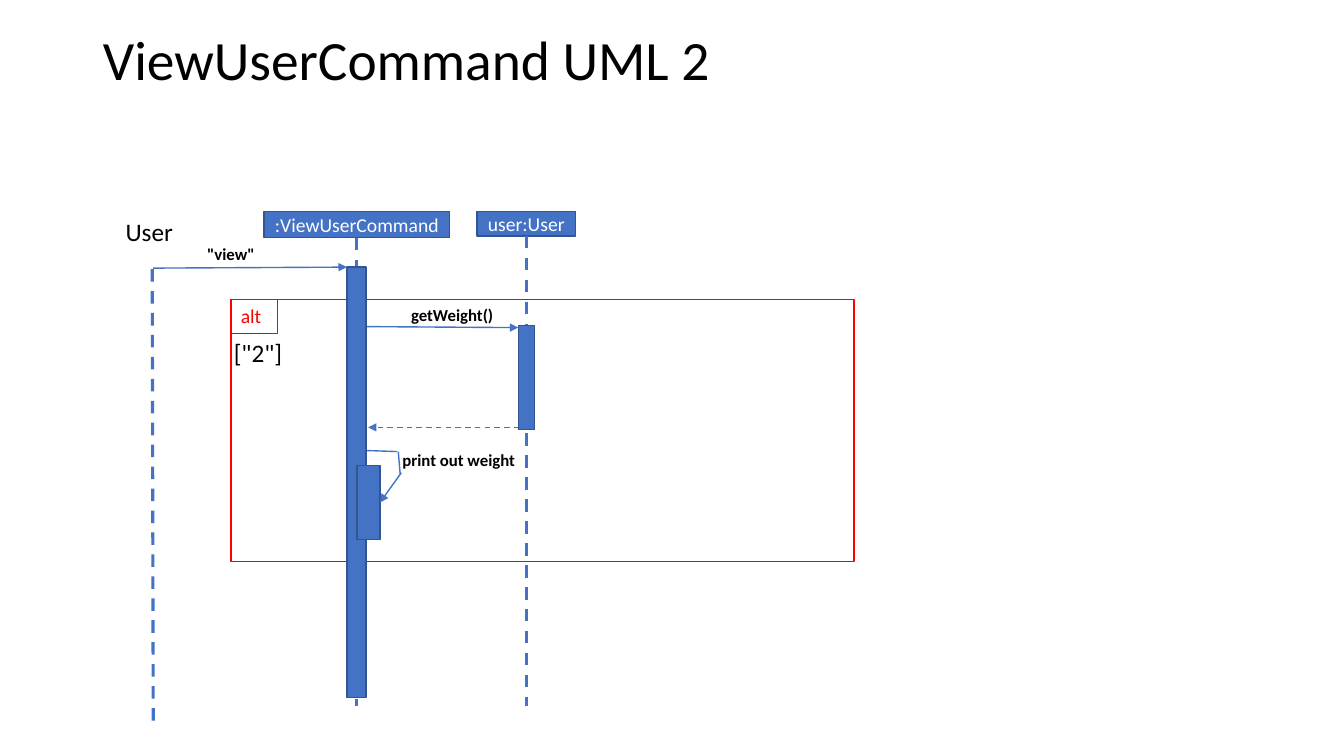
"""Build the ViewUserCommand UML sequence diagram slide."""
from lxml.etree import SubElement
from pptx import Presentation
from pptx.dml.color import RGBColor
from pptx.enum.dml import MSO_LINE
from pptx.enum.shapes import MSO_CONNECTOR, MSO_SHAPE
from pptx.enum.text import MSO_ANCHOR as ANCHOR, PP_ALIGN as ALIGN
from pptx.oxml.ns import qn
from pptx.util import Inches, Pt

BLUE, EDGE, RED, BLACK, WHITE = "4472C4", "325491", "FF0000", "000000", "FFFFFF"


def write(sp, text, size, color, align=ALIGN.CENTER, anchor=ANCHOR.TOP, bold=False, wrap=True):
    """Put one formatted paragraph into a shape."""
    tf = sp.text_frame
    for name, value in {"word_wrap": wrap, "vertical_anchor": anchor}.items():
        setattr(tf, name, value)
    p = tf.paragraphs[0]
    p.alignment = align
    r = p.add_run()
    r.text = text
    for name, value in {"name": "Calibri", "size": Pt(size), "bold": bold}.items():
        setattr(r.font, name, value)
    r.font.color.rgb = RGBColor.from_string(color)


def connect(s, x1, y1, x2, y2, width=1, dash=False, arrow=True):
    """Draw a straight blue connector."""
    c = s.shapes.add_connector(MSO_CONNECTOR.STRAIGHT, *map(Inches, (x1, y1, x2, y2)))
    c.line.color.rgb = RGBColor.from_string(BLUE)
    c.line.width = Pt(width)
    if dash:
        c.line.dash_style = MSO_LINE.DASH
    if arrow:
        SubElement(c.line._get_or_add_ln(), qn("a:tailEnd"), type="triangle")
    SubElement(c._element.spPr, qn("a:effectLst"))
    return c


prs = Presentation()
prs.slide_width, prs.slide_height = Inches(13.33), Inches(7.5)
s = prs.slides.add_slide(prs.slide_layouts[5])

title = s.shapes.title
for name, value in {"left": 0.92, "top": 0.4, "width": 11.5, "height": 0.45}.items():
    setattr(title, name, Inches(value))
write(title, "ViewUserCommand UML 2", 39.6, BLACK, ALIGN.LEFT, ANCHOR.MIDDLE)
title.text_frame.paragraphs[0].line_spacing = 0.9

connect(s, 1.51, 2.67, 1.52, 7.17, 2.25, dash=True, arrow=False)
for x1, y1, x2, y2, dash in [
    (1.52, 2.66, 3.44, 2.65, False),
    (3.59, 3.24, 5.14, 3.25, False),
    (5.15, 4.24, 3.65, 4.24, True),
]:
    connect(s, x1, y1, x2, y2, dash=dash)

boxes = {}
for key, x, y, w, h, fill, edge, width in [
    (":ViewUserCommand", 2.62, 2.1, 1.84, 0.26, BLUE, EDGE, 1),
    ("user:User", 4.73, 2.1, 0.98, 0.24, BLUE, EDGE, 1),
    ("frame", 2.29, 2.97, 6.18, 2.6, None, RED, 1),
    ("alt", 2.29, 2.97, 0.46, 0.34, None, RED, 0.75),
    ("command bar", 3.44, 2.65, 0.19, 4.27, BLUE, EDGE, 1),
    ("user bar", 5.14, 3.23, 0.16, 1.03, BLUE, EDGE, 1),
    ("print bar", 3.54, 4.62, 0.23, 0.73, BLUE, EDGE, 1),
]:
    if key == "command bar":
        for head, center in [(":ViewUserCommand", 3.54), ("user:User", 5.22)]:
            lifeline = connect(s, center, 2.37, center, 7, 2.25, dash=True, arrow=False)
            lifeline.begin_connect(boxes[head], 2)
    sp = s.shapes.add_shape(MSO_SHAPE.RECTANGLE, *map(Inches, (x, y, w, h)))
    sp.shadow.inherit = False
    if fill:
        sp.fill.solid()
        sp.fill.fore_color.rgb = RGBColor.from_string(fill)
    else:
        sp.fill.background()
    sp.line.color.rgb = RGBColor.from_string(edge)
    sp.line.width = Pt(width)
    boxes[key] = sp

for head in (":ViewUserCommand", "user:User"):
    write(boxes[head], head, 14, WHITE, anchor=ANCHOR.MIDDLE, wrap=False)
write(boxes["alt"], "alt", 14, RED, ALIGN.LEFT)

connect(s, 3.64, 4.47, 3.94, 4.48, arrow=False)
connect(s, 3.95, 4.48, 3.97, 4.71, arrow=False)
connect(s, 3.98, 4.69, 3.77, 4.98).end_connect(boxes["print bar"], 3)

for text, x, y, w, h, size, align, bold in [
    ("User", 0.97, 2.1, 1.02, 0.4, 18, ALIGN.CENTER, False),
    ('["2"]', 2.22, 3.3, 0.79, 0.4, 18, ALIGN.LEFT, False),
    ('"view"', 1.85, 2.37, 0.88, 0.3, 12, ALIGN.CENTER, True),
    ("getWeight()", 3.84, 2.97, 1.29, 0.3, 12, ALIGN.CENTER, True),
    ("print out weight", 3.84, 4.41, 1.42, 0.3, 12, ALIGN.CENTER, True),
]:
    label = s.shapes.add_textbox(*map(Inches, (x, y, w, h)))
    write(label, text, size, BLACK, align, bold=bold)

prs.save("out.pptx")
